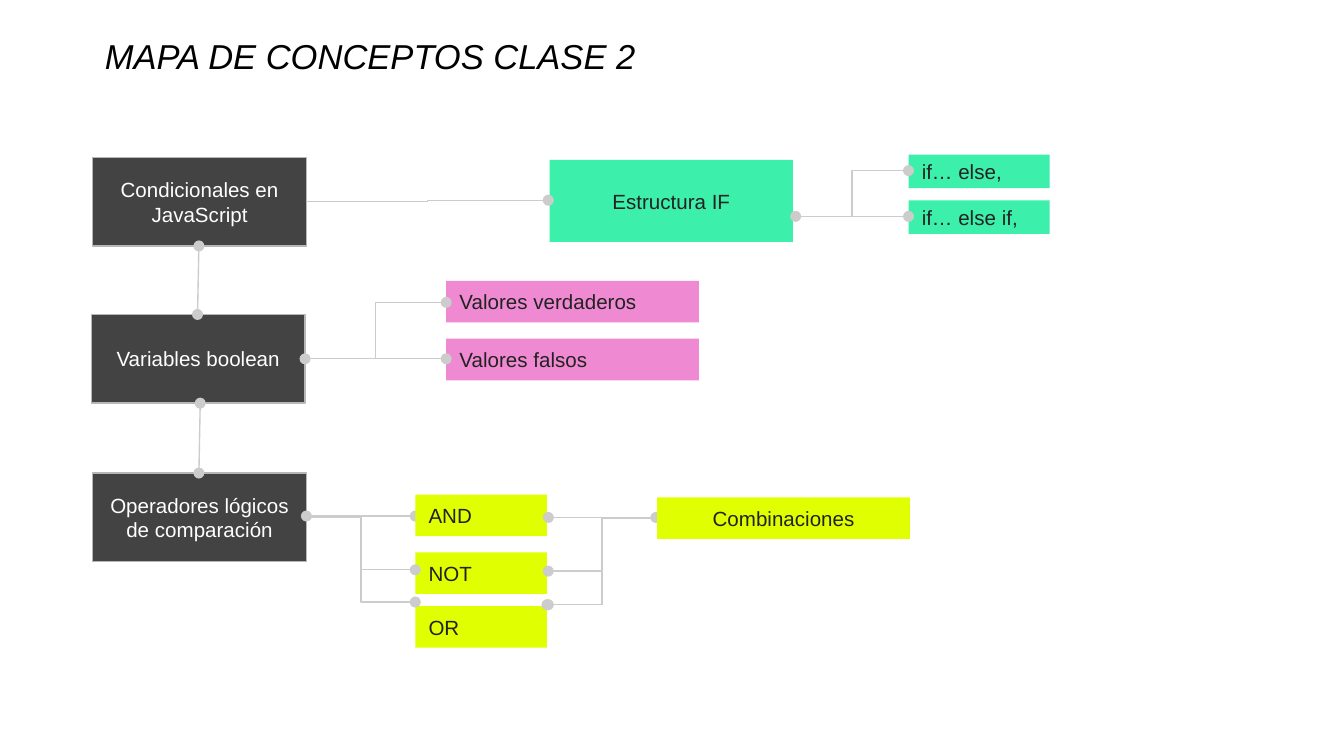
from dataclasses import dataclass

from lxml import etree
from pptx import Presentation
from pptx.dml.color import RGBColor
from pptx.enum.shapes import MSO_CONNECTOR, MSO_SHAPE
from pptx.enum.text import MSO_ANCHOR, PP_ALIGN
from pptx.oxml.ns import qn
from pptx.slide import Slide
from pptx.text.text import TextFrame
from pptx.util import Inches, Pt

RECT = MSO_SHAPE.RECTANGLE
LINE, BENT = MSO_CONNECTOR.STRAIGHT, MSO_CONNECTOR.ELBOW
TOP, MIDDLE = MSO_ANCHOR.TOP, MSO_ANCHOR.MIDDLE
LEFT, CENTER = PP_ALIGN.LEFT, PP_ALIGN.CENTER


@dataclass(frozen=True)
class Theme:
    font: str = "Arial"
    title: float = 18.5
    body: float = 11
    stroke: float = 0.75
    pad: float = 0.1
    black: str = "000000"
    white: str = "FFFFFF"
    ink: str = "222222"
    dark: str = "434343"
    edge: str = "B7B7B7"
    link: str = "CCCCCC"
    green: str = "3CEFAB"
    pink: str = "EF89D2"
    lime: str = "E0FF00"


THEME = Theme()


@dataclass(frozen=True)
class Style:
    """Size and look shared by a family of boxes."""
    width: float
    height: float
    fill: str
    ink: str = THEME.ink
    align: PP_ALIGN = LEFT
    edge: str = ""


@dataclass(frozen=True)
class Box:
    text: str
    left: float
    top: float
    style: Style


@dataclass(frozen=True)
class Link:
    """A line with a dot at its end; straight ones have two dots."""
    start: tuple[float, float]
    end: tuple[float, float]
    bent: bool = False


TOPIC = Style(1.59, 0.66, THEME.dark, THEME.white, CENTER, THEME.edge)
MAIN = Style(1.81, 0.61, THEME.green, align=CENTER)
CASE = Style(1.05, 0.25, THEME.green)
VALUE = Style(1.88, 0.31, THEME.pink)
LOGIC = Style(0.98, 0.31, THEME.lime)
MIX = Style(1.88, 0.31, THEME.lime, align=CENTER)

# Starting points of the branches
BOOL, IF, OPS, JOIN = (2.27, 2.67), (5.92, 1.61), (2.28, 3.84), (4.88, 3.85)
LOW = (4.89, 3.86)

# Parts from back to front: some dots are tucked under the box that follows
PARTS: list[Box | Link] = [
    # Topics
    Box("Variables boolean", 0.68, 2.34, TOPIC),
    Box("Condicionales en JavaScript", 0.69, 1.17, TOPIC),
    Box("Operadores lógicos de comparación", 0.69, 3.52, TOPIC),
    Link((1.47, 2.34), (1.48, 1.83)),
    Link((1.48, 3.52), (1.49, 3.0)),
    # If structure
    Box("Estructura IF", 4.09, 1.19, MAIN),
    Link((2.28, 1.5), (4.08, 1.49), True),
    Box("if… else if,", 6.76, 1.49, CASE),
    Box("if… else,", 6.76, 1.15, CASE),
    Link(IF, (6.76, 1.61)),
    Link(IF, (6.76, 1.27), True),
    # Boolean values
    Box("Valores falsos", 3.32, 2.52, VALUE),
    Box("Valores verdaderos", 3.32, 2.09, VALUE),
    Link(BOOL, (3.32, 2.67)),
    Link(BOOL, (3.32, 2.25), True),
    # Logical operators
    Link(OPS, (3.09, 3.84)),
    Box("AND", 3.09, 3.68, LOGIC),
    Box("NOT", 3.09, 4.11, LOGIC),
    Box("OR", 3.09, 4.51, LOGIC),
    Link(OPS, (3.09, 4.24), True),
    Link((2.28, 3.85), (3.09, 4.48), True),
    # Combinations
    Link(JOIN, (4.08, 3.85)),
    Link(JOIN, (4.08, 4.25), True),
    Link(LOW, (4.08, 4.5), True),
    Link(LOW, (4.07, 4.5), True),
    Box("Combinaciones", 4.89, 3.7, MIX),
]


def color(code: str) -> RGBColor:
    return RGBColor.from_string(code)


def write(frame: TextFrame, text: str, size: float, ink: str,
          align: PP_ALIGN, anchor: MSO_ANCHOR, italic: bool = False) -> None:
    frame.word_wrap = True
    frame.vertical_anchor = anchor
    frame.margin_left = frame.margin_right = Inches(THEME.pad)
    frame.margin_top = frame.margin_bottom = Inches(THEME.pad)
    para = frame.paragraphs[0]
    para.alignment = align
    run = para.add_run()
    run.text = text
    font = run.font
    font.name, font.size, font.italic = THEME.font, Pt(size), italic
    font.color.rgb = color(ink)


def draw_title(slide: Slide, text: str) -> None:
    title = slide.shapes.title
    title.left, title.top = Inches(0.68), Inches(0.22)
    title.width, title.height = Inches(7.77), Inches(0.46)
    write(title.text_frame, text, THEME.title, THEME.black, LEFT, TOP, True)
    title.text_frame.paragraphs[0].line_spacing = 0.8


def draw_box(slide: Slide, box: Box) -> None:
    style = box.style
    shape = slide.shapes.add_shape(
        RECT, Inches(box.left), Inches(box.top),
        Inches(style.width), Inches(style.height))
    shape.shadow.inherit = False
    shape.fill.solid()
    shape.fill.fore_color.rgb = color(style.fill)
    if style.edge:
        shape.line.color.rgb = color(style.edge)
        shape.line.width = Pt(THEME.stroke)
    else:
        shape.line.fill.background()
    write(shape.text_frame, box.text, THEME.body, style.ink,
          style.align, MIDDLE)


def draw_link(slide: Slide, link: Link) -> None:
    points = [Inches(n) for n in (*link.start, *link.end)]
    wire = slide.shapes.add_connector(BENT if link.bent else LINE, *points)
    wire.line.color.rgb = color(THEME.link)
    wire.line.width = Pt(THEME.stroke)
    # Dots at the ends, and no shadow
    props = wire.line._get_or_add_ln()
    for tag in ("a:tailEnd",) if link.bent else ("a:headEnd", "a:tailEnd"):
        etree.SubElement(props, qn(tag), type="oval")
    etree.SubElement(wire._element.spPr, qn("a:effectLst"))


def main() -> None:
    deck = Presentation()
    # Widescreen, 16 to 9
    deck.slide_width = Inches(10)
    deck.slide_height = deck.slide_width * 9 // 16
    slide = deck.slides.add_slide(deck.slide_layouts.get_by_name("Title Only"))
    draw_title(slide, "MAPA DE CONCEPTOS CLASE 2")
    for part in PARTS:
        if isinstance(part, Box):
            draw_box(slide, part)
        else:
            draw_link(slide, part)
    deck.save("out.pptx")


if __name__ == "__main__":
    main()
